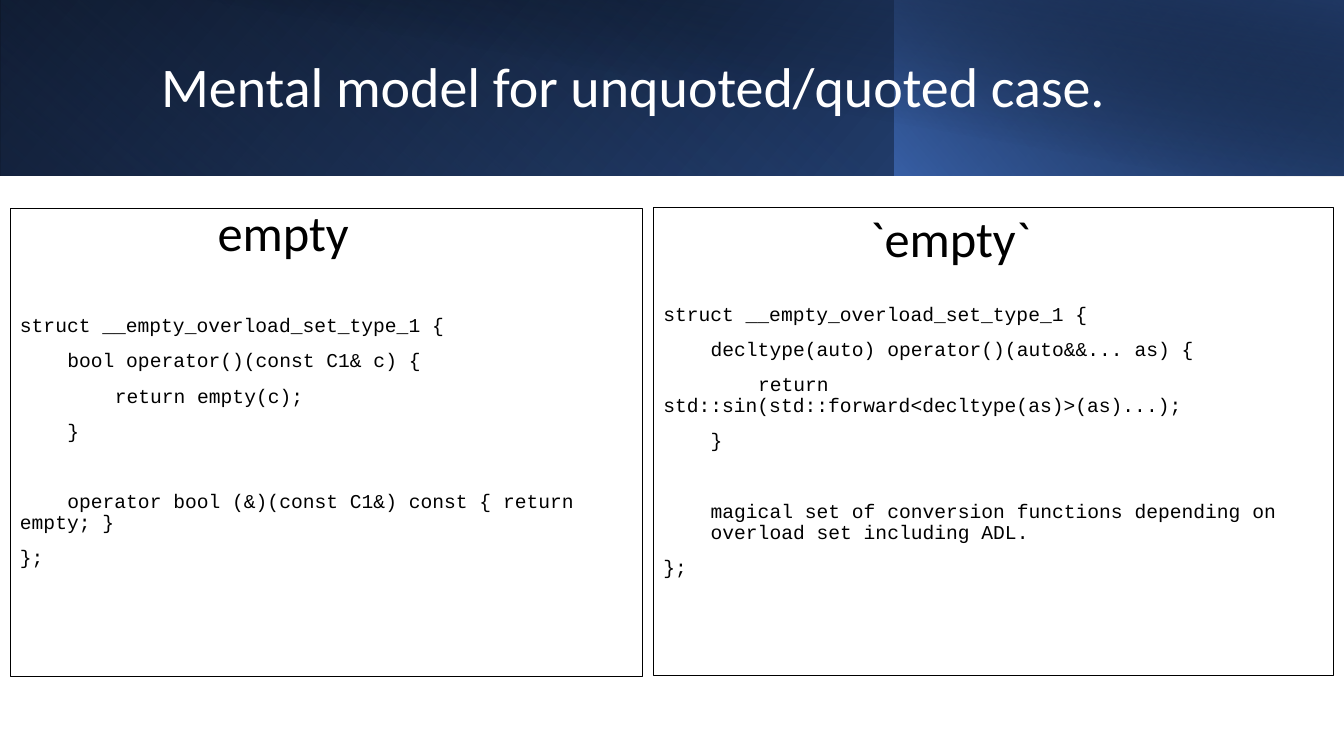
from lxml.etree import SubElement
from pptx import Presentation
from pptx.dml.color import RGBColor
from pptx.enum.shapes import MSO_SHAPE as Shape
from pptx.enum.text import MSO_ANCHOR as Anchor, MSO_AUTO_SIZE as AutoSize, PP_ALIGN as Align
from pptx.oxml.ns import qn
from pptx.util import Pt

PX = 9144  # 100 px to the inch
WIDTH, HEIGHT = 1333, 750

BLACK = RGBColor(0x00, 0x00, 0x00)
WHITE = RGBColor(0xFF, 0xFF, 0xFF)
BLUE = RGBColor(0x44, 0x72, 0xC4)
MID_BLUE = RGBColor(0x2F, 0x55, 0x97)
NAVY = RGBColor(0x20, 0x38, 0x64)

# box, rotation, flipped, clockwise angle, stops of (position %, colour, opacity %)
BANNER = [
    ((0, 0, WIDTH, 174), 0, True, 140, [(0, BLACK, 100), (100, MID_BLUE, 100)]),
    ((0, 0, 888, 174), 180, True, 230, [(20, BLUE, 0), (100, NAVY, 55)]),
    ((887, 0, 446, 174), 0, True, 220, [(0, BLUE, 66), (100, BLACK, 30)]),
    ((50, 0, 1283, 175), 0, False, 280, [(50, BLACK, 0), (99, NAVY, 52)]),
]

TITLE = "Mental model for unquoted/quoted case."
TITLE_BOX = (150, 32, 1082, 113)

# A code line is (indent level, text); None is an empty line.
PANELS = [
    {
        "box": (10, 207, 627, 464),
        "heading": "empty",
        "heading_box": (206, 195, 151, 71),
        "code": [
            (0, "struct __empty_overload_set_type_1 {"),
            (1, "bool operator()(const C1& c) {"),
            (2, "return empty(c);"),
            (1, "}"),
            None,
            (1, "operator bool (&)(const C1&) const { return empty; }"),
            (0, "};"),
        ],
    },
    {
        "box": (648, 206, 675, 464),
        "heading": "`empty`",
        "heading_box": (853, 201, 181, 71),
        "code": [
            (0, "struct __empty_overload_set_type_1 {"),
            (1, "decltype(auto) operator()(auto&&... as) {"),
            (2, "return std::sin(std::forward<decltype(as)>(as)...);"),
            (1, "}"),
            None,
            (1, "magical set of conversion functions depending on\voverload set including ADL."),
            (0, "};"),
        ],
    },
]
CODE_INDENT = 47  # four characters of 14 pt code
CODE_GAP = 10
EMPTY_LINE = 25


def scaled(box):
    return [length * PX for length in box]


def add_rectangle(page, box):
    rectangle = page.shapes.add_shape(Shape.RECTANGLE, *scaled(box))
    rectangle.shadow.inherit = False
    return rectangle


def add_gradient(page, box, rotation, flipped, angle, stops):
    rectangle = add_rectangle(page, box)
    rectangle.line.fill.background()
    rectangle.rotation = rotation
    if flipped:
        rectangle.element.spPr.find(qn("a:xfrm")).set("flipH", "1")
    rectangle.fill.gradient()
    gradient = rectangle.element.spPr.find(qn("a:gradFill"))
    stop_list = gradient.find(qn("a:gsLst"))
    for old_stop in list(stop_list):
        stop_list.remove(old_stop)
    for position, color, opacity in stops:
        stop = SubElement(stop_list, qn("a:gs"), pos=str(position * 1000))
        paint = SubElement(stop, qn("a:srgbClr"), val=str(color))
        if opacity < 100:
            SubElement(paint, qn("a:alpha"), val=str(opacity * 1000))
    direction = gradient.find(qn("a:lin"))
    direction.set("ang", str(angle * 60000))
    direction.set("scaled", "0")


def write(para, text, font="Calibri", size=36, color=BLACK, spacing=None, before=0):
    para.text = text
    para.alignment = Align.LEFT
    para.line_spacing = spacing
    para.space_before = Pt(before)
    for span in para.runs:
        span.font.name = font
        span.font.size = Pt(size)
        span.font.color.rgb = color


def indent(para, level, hanging):
    """Indent every line when hanging, otherwise only the first one."""
    length = str(level * CODE_INDENT * PX)
    properties = para._p.get_or_add_pPr()
    properties.set("marL", length if hanging else "0")
    properties.set("indent", "0" if hanging else length)


def add_code(page, box, lines):
    panel = add_rectangle(page, box)
    panel.fill.background()
    panel.line.color.rgb = BLACK
    panel.line.width = Pt(0.75)
    frame = panel.text_frame
    frame.word_wrap = True
    frame.vertical_anchor = Anchor.MIDDLE
    para, before = frame.paragraphs[0], CODE_GAP
    for line in lines:
        if line is None:
            before += EMPTY_LINE
            continue
        level, text = line
        para = para or frame.add_paragraph()
        write(para, text, font="Courier New", size=14, spacing=0.9, before=before)
        indent(para, level, hanging="\v" in text)
        para, before = None, CODE_GAP


def add_label(page, box, text, wrap=False, anchor=Anchor.TOP, **style):
    frame = page.shapes.add_textbox(*scaled(box)).text_frame
    frame.word_wrap = wrap
    frame.auto_size = AutoSize.NONE if wrap else AutoSize.SHAPE_TO_FIT_TEXT
    frame.vertical_anchor = anchor
    write(frame.paragraphs[0], text, **style)


def main():
    deck = Presentation()
    deck.slide_width, deck.slide_height = scaled((WIDTH, HEIGHT))
    page = deck.slides.add_slide(deck.slide_layouts[6])
    for layer in BANNER:
        add_gradient(page, *layer)
    add_label(page, TITLE_BOX, TITLE, wrap=True, anchor=Anchor.MIDDLE,
              size=40, color=WHITE, spacing=0.9)
    for panel in PANELS:
        add_code(page, panel["box"], panel["code"])
    for panel in PANELS:
        add_label(page, panel["heading_box"], panel["heading"])
    deck.save("out.pptx")


if __name__ == "__main__":
    main()
